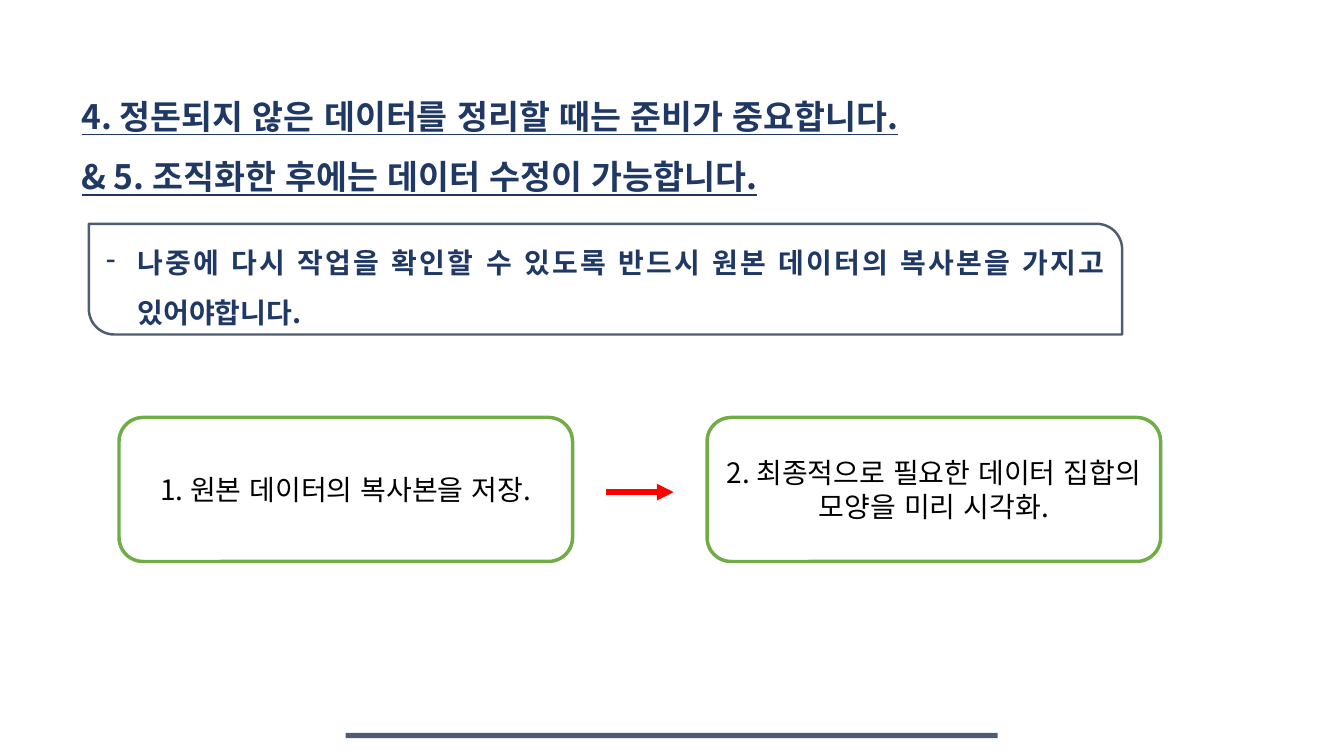
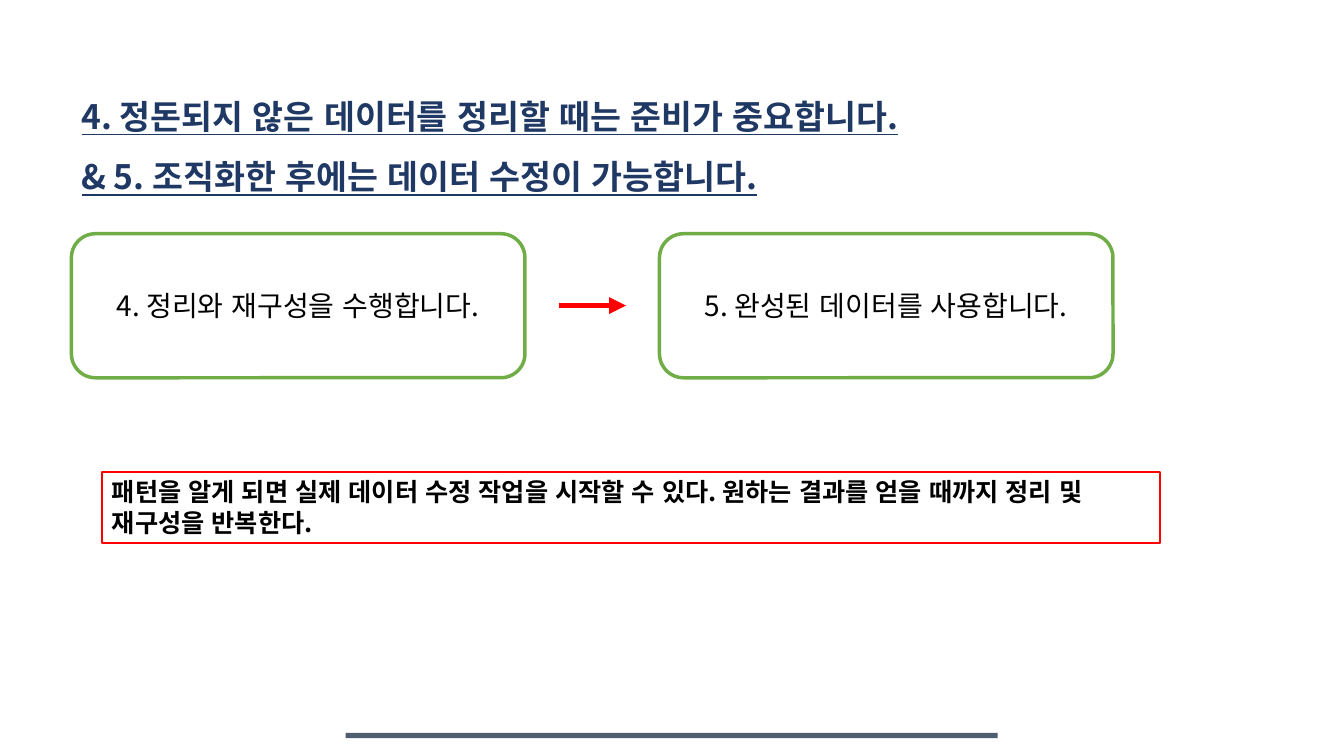
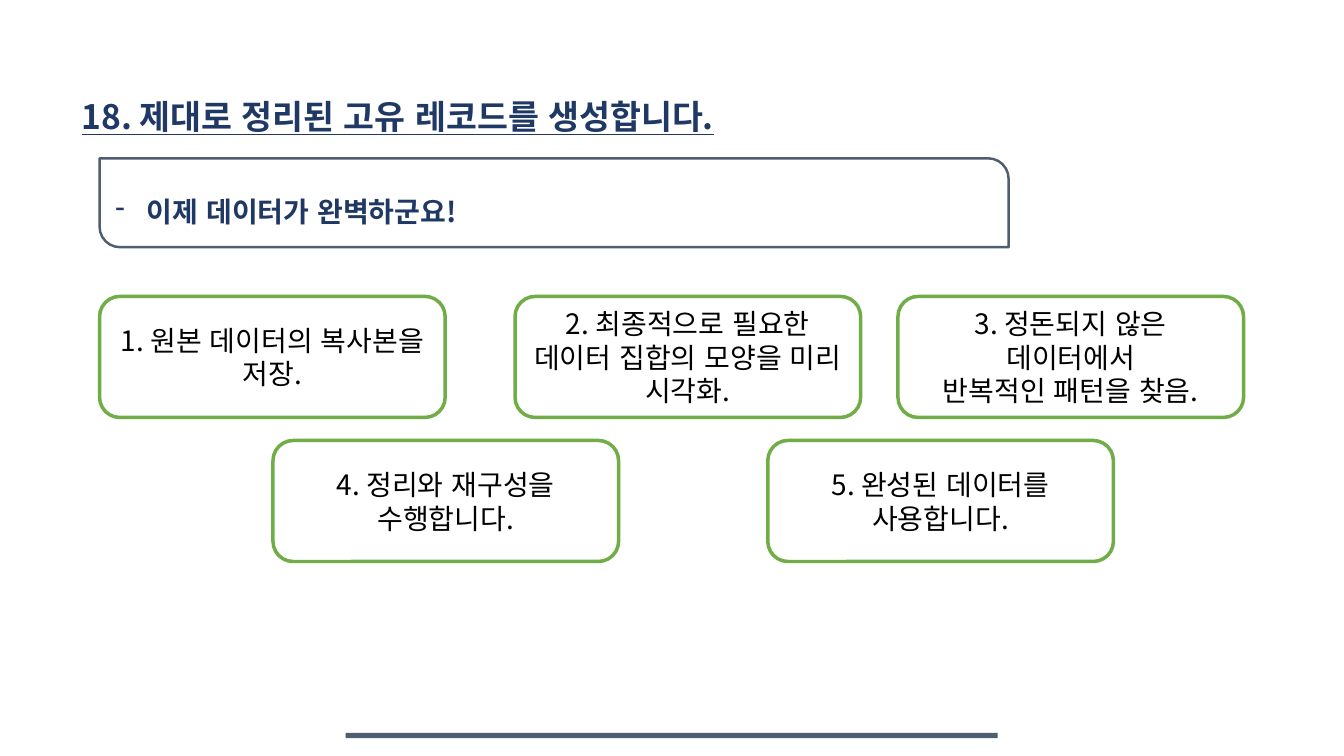
from lxml.etree import SubElement
from pptx import Presentation
from pptx.dml.color import RGBColor
from pptx.enum.lang import MSO_LANGUAGE_ID as Language
from pptx.enum.shapes import MSO_CONNECTOR as Connector, MSO_SHAPE as Preset
from pptx.enum.text import MSO_ANCHOR as Anchor, MSO_AUTO_SIZE as AutoSize, PP_ALIGN as Align
from pptx.oxml.ns import qn
from pptx.util import Cm, Pt

NAVY = RGBColor(0x20, 0x38, 0x64)
SLATE = RGBColor(0x4E, 0x5D, 0x70)
GREEN = RGBColor(0x70, 0xAD, 0x47)
RED = RGBColor(0xFF, 0x00, 0x00)
BLACK = RGBColor(0x00, 0x00, 0x00)
WHITE = RGBColor(0xFF, 0xFF, 0xFF)
FONT = "Noto Sans CJK KR"

FLOW_STEP = (11.43, 3.63)
FLOW_PITCH = 14.82
ARROW_LENGTH = 1.7
SUMMARY_STEP = (8.71, 3.05)

PREPARE_TITLE = (
    "4. 정돈되지 않은 데이터를 정리할 때는 준비가 중요합니다.",
    "& 5. 조직화한 후에는 데이터 수정이 가능합니다.",
)
SAVE_COPY = "1. 원본 데이터의 복사본을 저장."
VISUALIZE = "2. 최종적으로 필요한 데이터 집합의 모양을 미리 시각화."
REORGANIZE = "4. 정리와 재구성을 수행합니다."
USE_DATA = "5. 완성된 데이터를 사용합니다."


class LessonDeck:
    """Hold the lesson style and the slide being built."""

    def __init__(self):
        self.deck = Presentation()
        self.deck.slide_width = Cm(33.87)
        self.deck.slide_height = Cm(19.05)
        self.page = None

    def add_text(self, box, lines, size, color, bold=False, underline=None,
                 align=Align.LEFT, spacing=None):
        frame = box.text_frame
        frame.word_wrap = True
        for index, line in enumerate(lines):
            para = frame.add_paragraph() if index else frame.paragraphs[0]
            para.alignment = align
            para.line_spacing = spacing
            span = para.add_run()
            span.text = line
            font = span.font
            font.name, font.size, font.bold = FONT, Pt(size), bold
            font.underline = underline
            font.color.rgb = color
            font.language_id = Language.KOREAN
            SubElement(span._r.get_or_add_rPr(), qn("a:ea"), typeface=FONT)

    def shape(self, preset, left, top, width, height, fill=None, line=None, weight=1.75):
        box = self.page.shapes.add_shape(preset, Cm(left), Cm(top), Cm(width), Cm(height))
        box.shadow.inherit = False
        if fill is None:
            box.fill.background()
        else:
            box.fill.solid()
            box.fill.fore_color.rgb = fill
        if line is None:
            box.line.fill.background()
        else:
            box.line.color.rgb = line
            box.line.width = Pt(weight)
        return box

    def new_page(self, title_lines, width, height):
        self.page = self.deck.slides.add_slide(self.deck.slide_layouts[5])
        self.shape(Preset.RECTANGLE, 8.71, 18.47, 16.43, 0.13, fill=SLATE)
        title = self.page.shapes.title
        title.left, title.top = Cm(1.8), Cm(1.78)
        title.width, title.height = Cm(width), Cm(height)
        title.text_frame.vertical_anchor = Anchor.TOP
        title.text_frame.auto_size = AutoSize.SHAPE_TO_FIT_TEXT
        self.add_text(title, title_lines, 24, NAVY, bold=True, underline=True, spacing=1.5)

    def callout(self, text, left, top, width, height):
        box = self.shape(Preset.ROUND_2_DIAG_RECTANGLE, left, top, width, height, WHITE, SLATE)
        box.adjustments[0], box.adjustments[1] = 0, 0.23
        box.text_frame.vertical_anchor = Anchor.MIDDLE
        self.add_text(box, [text], 20, NAVY, bold=True, align=Align.JUSTIFY, spacing=1.5)
        props = box.text_frame.paragraphs[0]._p.get_or_add_pPr()
        indent = Cm(0.79)
        props.set("marL", str(indent))
        props.set("indent", str(-indent))
        SubElement(props, qn("a:buChar"), char="-")

    def step(self, lines, left, top, size):
        box = self.shape(Preset.ROUNDED_RECTANGLE, left, top, *size, WHITE, GREEN, 2.5)
        box.text_frame.vertical_anchor = Anchor.MIDDLE
        self.add_text(box, lines, 20, BLACK, align=Align.CENTER)

    def arrow(self, left, middle):
        arrow = self.page.shapes.add_connector(
            Connector.STRAIGHT, Cm(left), Cm(middle), Cm(left + ARROW_LENGTH), Cm(middle))
        arrow.line.color.rgb = RED
        arrow.line.width = Pt(4)
        props = arrow._element.spPr
        SubElement(props.find(qn("a:ln")), qn("a:tailEnd"), type="triangle")
        SubElement(props, qn("a:effectLst"))

    def flow(self, steps, left, top, arrow_middle):
        for index, text in enumerate(steps):
            self.step([text], left + index * FLOW_PITCH, top, FLOW_STEP)
        center = left + (FLOW_STEP[0] + FLOW_PITCH) / 2
        self.arrow(center - ARROW_LENGTH / 2, arrow_middle)

    def note(self, text, left, top, width, height):
        box = self.shape(Preset.RECTANGLE, left, top, width, height, line=RED)
        box.text_frame.vertical_anchor = Anchor.TOP
        box.text_frame.auto_size = AutoSize.SHAPE_TO_FIT_TEXT
        self.add_text(box, [text], 18, BLACK, bold=True)


def main():
    lesson = LessonDeck()

    lesson.new_page(PREPARE_TITLE, 28.19, 3.12)
    lesson.callout("나중에 다시 작업을 확인할 수 있도록 반드시 원본 데이터의 복사본을 가지고 있어야합니다.",
                   2.24, 5.64, 26.04, 2.79)
    lesson.flow((SAVE_COPY, VISUALIZE), 3, 10.52, 12.4)

    lesson.new_page(PREPARE_TITLE, 28.19, 3.12)
    lesson.flow((REORGANIZE, USE_DATA), 1.8, 5.89, 7.7)
    lesson.note("패턴을 알게 되면 실제 데이터 수정 작업을 시작할 수 있다. "
                "원하는 결과를 얻을 때까지 정리 및 재구성을 반복한다.",
                2.57, 11.89, 26.67, 1.8)

    lesson.new_page(["18. 제대로 정리된 고유 레코드를 생성합니다."], 19.89, 1.6)
    lesson.callout("이제 데이터가 완벽하군요!", 2.51, 3.99, 22.91, 2.24)
    summary = (
        ([SAVE_COPY], 2.51, 7.47),
        ([VISUALIZE], 12.98, 7.47),
        (["3. 정돈되지 않은 데이터에서", "반복적인 패턴을 찾음."], 22.63, 7.47),
        ([REORGANIZE], 6.88, 11.1),
        ([USE_DATA], 19.35, 11.1),
    )
    for lines, left, top in summary:
        lesson.step(lines, left, top, SUMMARY_STEP)

    lesson.deck.save("out.pptx")


if __name__ == "__main__":
    main()
